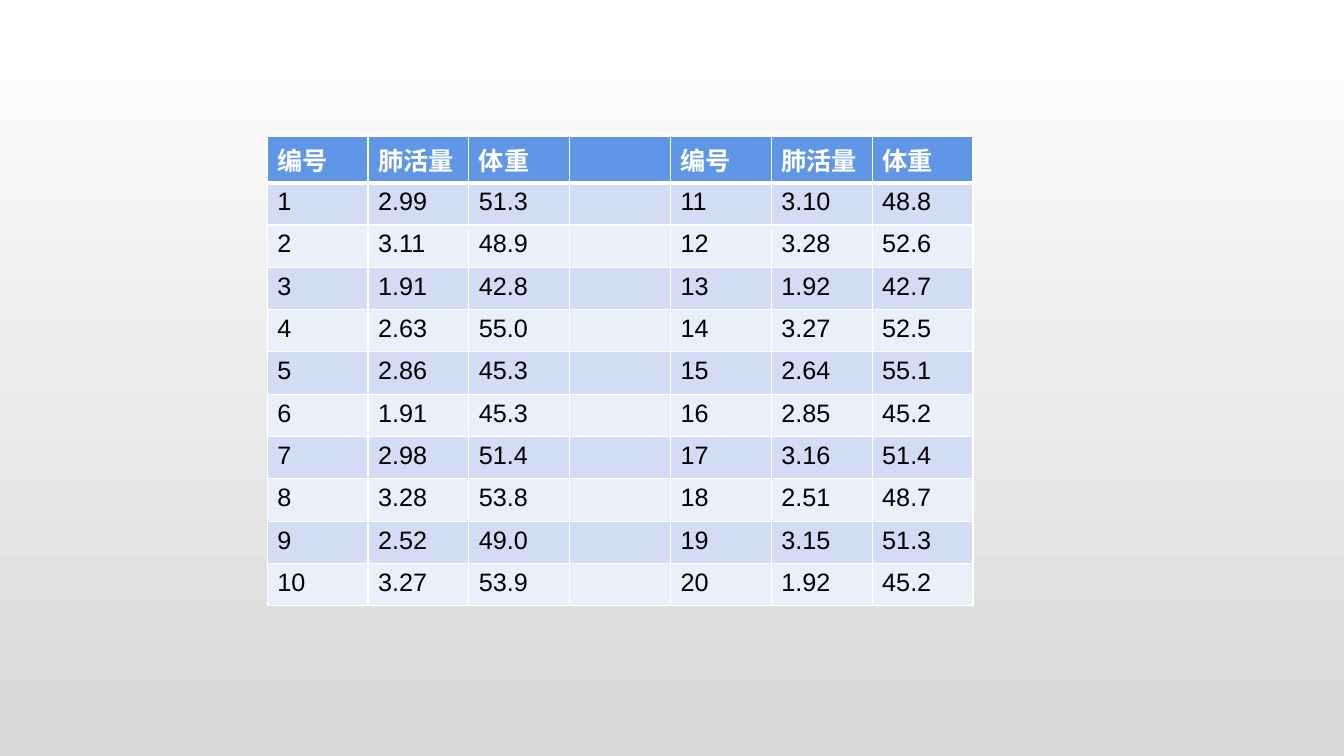
from dataclasses import dataclass

from pptx import Presentation
from pptx import util as u
from pptx.dml.color import RGBColor
from pptx.oxml.ns import qn
from pptx.slide import Slide
from pptx.table import _Cell
from lxml import etree

WHITE = RGBColor(0xFF, 0xFF, 0xFF)
BLACK = RGBColor(0x00, 0x00, 0x00)
GREY = RGBColor(0xD9, 0xD9, 0xD9)
BLUE = RGBColor(0x60, 0x96, 0xE6)
PALE = RGBColor(0xD2, 0xDD, 0xF5)
LIGHT = RGBColor(0xEA, 0xEF, 0xFA)

HEADS = ("编号", "肺活量", "体重")
HALF = 10


@dataclass(frozen=True)
class Sample:
    lung: str
    weight: str


@dataclass(frozen=True)
class Look:
    fill: RGBColor
    ink: RGBColor
    bold: bool
    top: int = 1
    bottom: int = 1


SAMPLES = [
    Sample("2.99", "51.3"), Sample("3.11", "48.9"),
    Sample("1.91", "42.8"), Sample("2.63", "55.0"),
    Sample("2.86", "45.3"), Sample("1.91", "45.3"),
    Sample("2.98", "51.4"), Sample("3.28", "53.8"),
    Sample("2.52", "49.0"), Sample("3.27", "53.9"),
    Sample("3.10", "48.8"), Sample("3.28", "52.6"),
    Sample("1.92", "42.7"), Sample("3.27", "52.5"),
    Sample("2.64", "55.1"), Sample("2.85", "45.2"),
    Sample("3.16", "51.4"), Sample("2.51", "48.7"),
    Sample("3.15", "51.3"), Sample("1.92", "45.2"),
]


def record(index: int) -> tuple[str, ...]:
    sample = SAMPLES[index]
    return str(index + 1), sample.lung, sample.weight


def row_look(row: int) -> Look:
    if row == 0:
        return Look(BLUE, WHITE, True, bottom=3)
    return Look(PALE if row % 2 else LIGHT, BLACK, False, top=3 if row == 1 else 1)


def add_edge(cell: _Cell, side: str, width: int) -> None:
    props = cell._tc.get_or_add_tcPr()
    line = etree.SubElement(props, qn(f"a:ln{side}"), w=str(u.Pt(width)))
    solid = etree.SubElement(line, qn("a:solidFill"))
    etree.SubElement(solid, qn("a:srgbClr"), val=str(WHITE))


def fill_cell(cell: _Cell, words: str, look: Look) -> None:
    for side, width in (("L", 1), ("R", 1), ("T", look.top), ("B", look.bottom)):
        add_edge(cell, side, width)
    cell.fill.solid()
    cell.fill.fore_color.rgb = look.fill
    if words:
        cell.text = words
    font = cell.text_frame.paragraphs[0].font
    font.name = "Arial"
    font.size = u.Pt(18)
    font.bold = look.bold
    font.color.rgb = look.ink


def paint_back(slide: Slide) -> None:
    fill = slide.background.fill
    fill.gradient()
    fill.gradient_angle = 270
    for stop, color, place in zip(fill.gradient_stops, (WHITE, GREY), (0, 1)):
        stop.color.rgb = color
        stop.position = place


def add_data(slide: Slide) -> None:
    rows = [(*HEADS, "", *HEADS)]
    rows += [(*record(i), "", *record(i + HALF)) for i in range(HALF)]
    frame = slide.shapes.add_table(
        len(rows), len(rows[0]),
        u.Inches(2.65), u.Inches(1.35), u.Inches(7), u.Inches(4.6),
    )
    table = frame.table
    for r, row in enumerate(rows):
        table.rows[r].height = u.Inches(0.42 if r else 0.4)
        for c, words in enumerate(row):
            fill_cell(table.cell(r, c), words, row_look(r))


def main() -> None:
    deck = Presentation()
    deck.slide_width = u.Inches(13.33)
    deck.slide_height = u.Inches(7.5)
    slide = deck.slides.add_slide(deck.slide_layouts[6])
    paint_back(slide)
    add_data(slide)
    deck.save("out.pptx")


if __name__ == "__main__":
    main()
